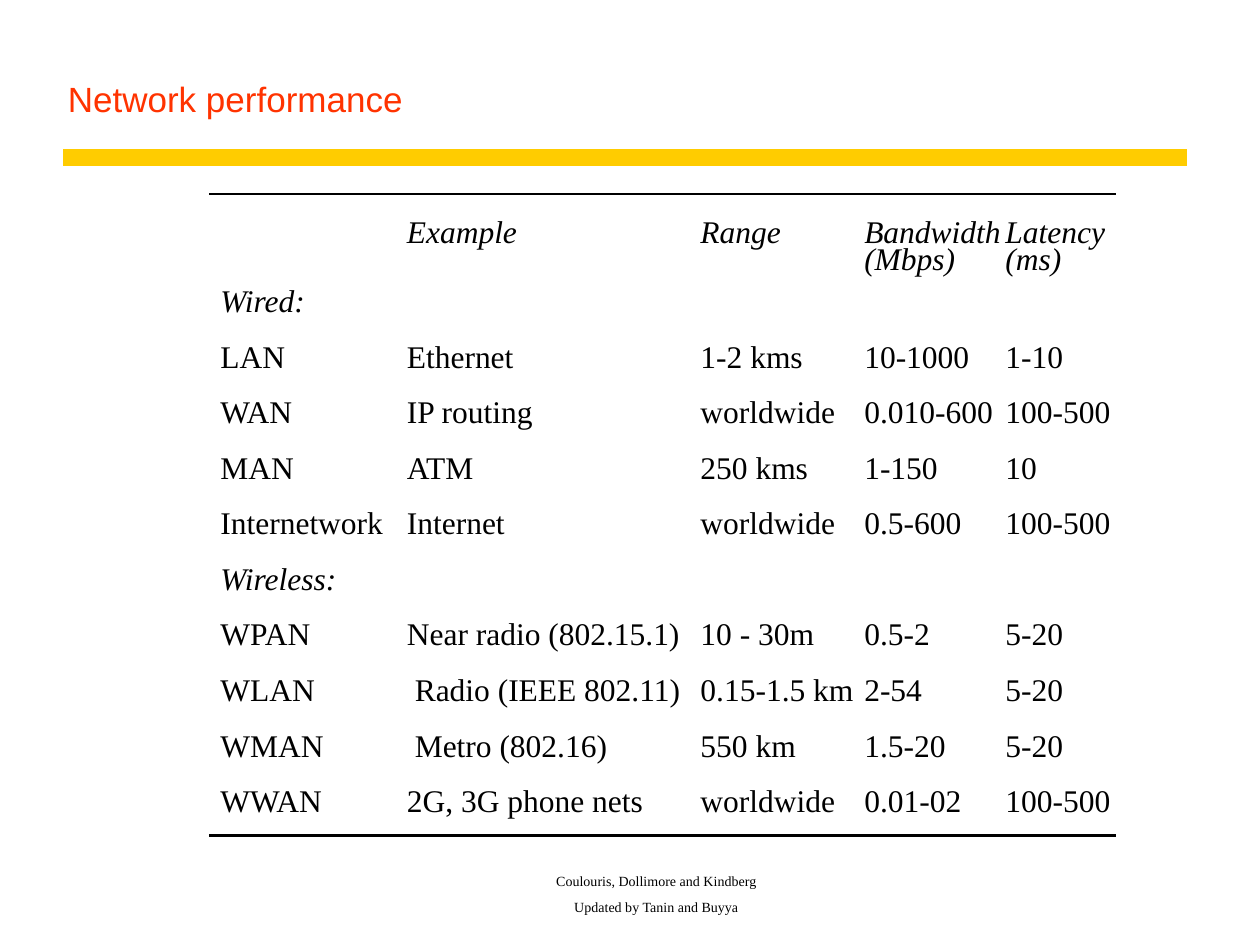
"""Build the network performance slide."""
from lxml import etree
from pptx import Presentation
from pptx import util as u
from pptx.dml.color import RGBColor
from pptx.enum import shapes, text
from pptx.oxml.ns import qn

SERIF = "Times New Roman"


def add_text(box, lines, size, font, color, inset=(0, 0), italic=False,
             anchor=text.MSO_ANCHOR.TOP, align=text.PP_ALIGN.LEFT, before=0):
    sp = s.shapes.add_textbox(*[u.Inches(v) for v in box])
    tf = sp.text_frame
    tf.word_wrap = True
    tf.vertical_anchor = anchor
    tf.margin_left = tf.margin_right = u.Inches(inset[0])
    tf.margin_top = tf.margin_bottom = u.Inches(inset[1])
    for i, line in enumerate(lines):
        p = tf.paragraphs[0] if i == 0 else tf.add_paragraph()
        p.text = line
        p.alignment = align
        p.space_before = u.Pt(before)
        p.font.size = u.Pt(size)
        p.font.name = font
        p.font.italic = italic
        p.font.color.rgb = RGBColor.from_string(color)


def add_rule(left, right, y, color, width):
    sp = s.shapes.add_connector(
        shapes.MSO_CONNECTOR.STRAIGHT,
        u.Inches(left), u.Inches(y), u.Inches(right), u.Inches(y))
    sp.line.color.rgb = RGBColor.from_string(color)
    sp.line.width = u.Pt(width)
    etree.SubElement(sp.element.spPr, qn("a:effectLst"))


prs = Presentation()
prs.slide_width, prs.slide_height = u.Inches(10), u.Inches(7.5)
s = prs.slides.add_slide(prs.slide_layouts[6])

add_rule(0.5, 9.42, 1.25, "FFCC00", 10)
add_text((2.17, 7, 6.08, 0.31),
         ["Coulouris, Dollimore and Kindberg", "Updated by Tanin and Buyya"],
         8, SERIF, "000000", (0.1, 0.05), anchor=text.MSO_ANCHOR.BOTTOM,
         align=text.PP_ALIGN.CENTER, before=5)
add_text((0.44, 0.25, 8.97, 0.75), ["Network performance"],
         20, "Arial", "FF3300", (0.1, 0.05), anchor=text.MSO_ANCHOR.BOTTOM)

lefts = [1.75, 3.23, 5.56, 6.86, 7.98]
widths = [1.4, 2.2, 1.26, 1.1, 0.88]
headers = [
    ["", "Example", "Range", "Bandwidth", "Latency"],
    ["", "", "", "(Mbps)", "(ms)"],
]
body = [
    ["Wired:"],
    ["LAN", "Ethernet", "1-2 kms", "10-1000", "1-10"],
    ["WAN", "IP routing", "worldwide", "0.010-600", "100-500"],
    ["MAN", "ATM", "250 kms", "1-150", "10"],
    ["Internetwork", "Internet", "worldwide", "0.5-600", "100-500"],
    ["Wireless:"],
    ["WPAN", "Near radio (802.15.1)", "10 - 30m", "0.5-2", "5-20"],
    ["WLAN", " Radio (IEEE 802.11)", "0.15-1.5 km", "2-54", "5-20"],
    ["WMAN", " Metro (802.16)", "550 km", "1.5-20", "5-20"],
    ["WWAN", "2G, 3G phone nets", "worldwide", "0.01-02", "100-500"],
]
rows = [(1.68 + 0.22 * i, row, True) for i, row in enumerate(headers)]
rows += [(2.23 + 3.97 / 9 * i, row, len(row) == 1) for i, row in enumerate(body)]
for top, row, italic in rows:
    for left, width, cell in zip(lefts, widths, row):
        if cell:
            add_text((left, top, width, 0.3), [cell], 18, SERIF, "000000",
                     italic=italic)

for y in (1.54, 6.63):
    add_rule(1.66, 8.86, y, "000000", 1.39)

prs.save("out.pptx")
